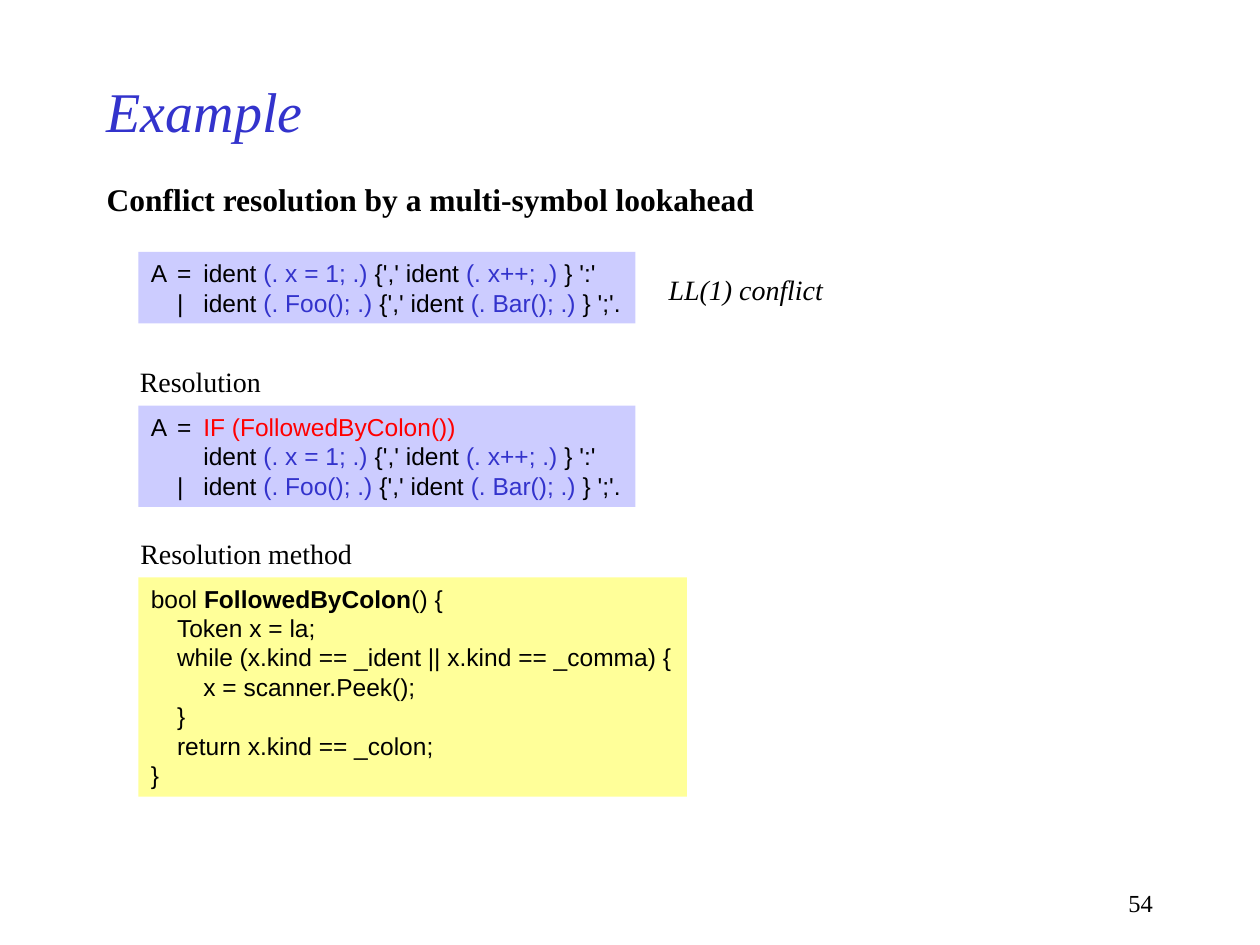
"""Build the slide on resolving an LL(1) conflict by a multi-symbol lookahead."""
import lxml.etree
import pptx
import pptx.dml.color
import pptx.enum.shapes
import pptx.enum.text
import pptx.oxml.ns
import pptx.util

Cm = pptx.util.Cm
Pt = pptx.util.Pt
ALIGN = pptx.enum.text.PP_ALIGN
ANCHOR = pptx.enum.text.MSO_ANCHOR
FIT = pptx.enum.text.MSO_AUTO_SIZE.SHAPE_TO_FIT_TEXT
BLACK, BLUE, RED = "000000", "3333CC", "FF0000"
LILAC, YELLOW = "CCCCFF", "FFFF99"


def colour(hex_string):
    return pptx.dml.color.RGBColor.from_string(hex_string)


def write(shape, lines, font_format, frame_format, align=ALIGN.LEFT, tabs=()):
    frame = shape.text_frame
    for key, value in frame_format.items():
        setattr(frame, key, value)
    for number, line in enumerate(lines):
        paragraph = frame.add_paragraph() if number else frame.paragraphs[0]
        paragraph.alignment = align
        if tabs:
            properties = paragraph._p.get_or_add_pPr()
            stops = lxml.etree.SubElement(properties, pptx.oxml.ns.qn("a:tabLst"))
            for stop in tabs:
                lxml.etree.SubElement(stops, pptx.oxml.ns.qn("a:tab"), pos=str(stop), algn="l")
        for text, ink, bold in line:
            run = paragraph.add_run()
            run.text = text
            for key, value in {**font_format, "bold": bold}.items():
                setattr(run.font, key, value)
            run.font.color.rgb = colour(ink)


presentation = pptx.Presentation()
presentation.slide_width, presentation.slide_height = Cm(25.4), Cm(19.05)
slide = presentation.slides.add_slide(presentation.slide_layouts[6])

hugging = {"word_wrap": False, "auto_size": FIT, "vertical_anchor": ANCHOR.TOP}
title_frame = {"word_wrap": True, "vertical_anchor": ANCHOR.MIDDLE}
number_frame = {"word_wrap": True, "vertical_anchor": ANCHOR.TOP}

labels = [
    ("Example", (1.9, 1.27, 19.05, 1.9), BLUE, 32, False, True, title_frame, ALIGN.LEFT),
    ("Conflict resolution by a multi-symbol lookahead", (1.9, 3.5, 13.62, 1.02),
     BLACK, 18, True, False, hugging, ALIGN.LEFT),
    ("LL(1) conflict", (13.23, 5.36, 3.67, 0.94), BLACK, 16, False, True, hugging, ALIGN.LEFT),
    ("Resolution", (2.57, 7.23, 3.01, 0.94), BLACK, 16, False, False, hugging, ALIGN.LEFT),
    ("Resolution method", (2.58, 10.69, 4.84, 0.94), BLACK, 16, False, False, hugging, ALIGN.LEFT),
    ("54", (18.21, 17.78, 5.28, 0.84), BLACK, 14, False, False, number_frame, ALIGN.RIGHT),
]
for text, place, ink, size, bold, italic, frame_format, align in labels:
    label = slide.shapes.add_textbox(*map(Cm, place))
    font_format = {"name": "Times New Roman", "size": Pt(size), "italic": italic}
    write(label, [[(text, ink, bold)]], font_format, frame_format, align)


colon_rule, semicolon_rule = [
    [("ident ", BLACK, False), (first, BLUE, False), (" {',' ident ", BLACK, False),
     (repeated, BLUE, False), (ending, BLACK, False)]
    for first, repeated, ending in [
        ("(. x = 1; .)", "(. x++; .)", " } ':'"),
        ("(. Foo(); .)", "(. Bar(); .)", " } ';'."),
    ]
]
start, indent, alternative = [[(lead, BLACK, False)] for lead in ("A\t=\t", "\t\t", "\t|\t")]
conflict = [start + colon_rule, alternative + semicolon_rule]
resolution = [
    start + [("IF (FollowedByColon())", RED, False)],
    indent + colon_rule,
    alternative + semicolon_rule,
]
method = [[("bool ", BLACK, False), ("FollowedByColon", BLACK, True), ("() {", BLACK, False)]]
for statement in [
    "\tToken x = la;",
    "\twhile (x.kind == _ident || x.kind == _comma) {",
    "\t\tx = scanner.Peek();",
    "\t}",
    "\treturn x.kind == _colon;",
    "}",
]:
    method.append([(statement, BLACK, False)])

code_font = {"name": "Arial", "size": Pt(14)}
code_tabs = [Cm(0.53), Cm(1.06)]
for lines, top, width, height, fill in [
    (conflict, 5.08, 10.02, 1.44, LILAC),
    (resolution, 8.18, 10.02, 2.04, LILAC),
    (method, 11.64, 11.06, 4.42, YELLOW),
]:
    code = slide.shapes.add_shape(
        pptx.enum.shapes.MSO_SHAPE.RECTANGLE, Cm(2.79), Cm(top), Cm(width), Cm(height))
    code.shadow.inherit = False
    code.fill.solid()
    code.fill.fore_color.rgb = colour(fill)
    code.line.fill.background()
    write(code, lines, code_font, hugging, tabs=code_tabs)

presentation.save("out.pptx")
